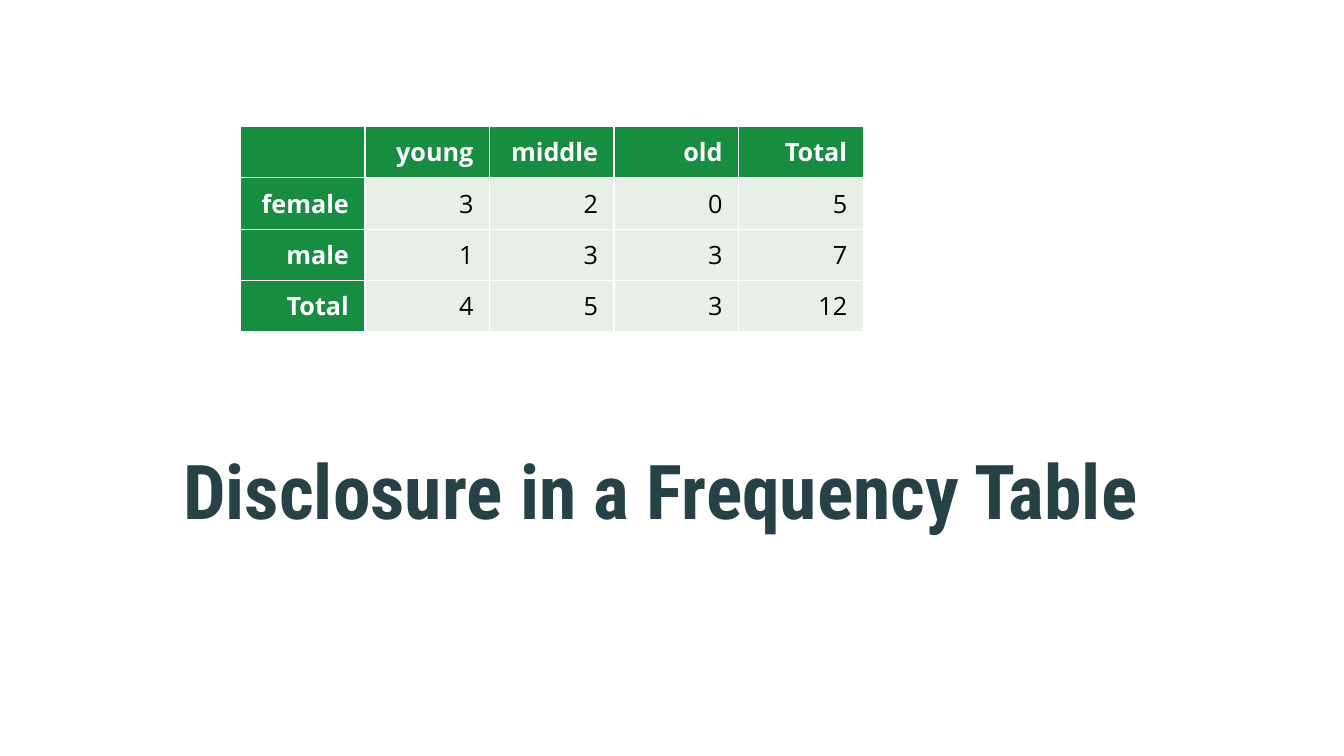
from pptx import Presentation
from pptx.dml.color import RGBColor
from pptx.enum.text import MSO_ANCHOR, PP_ALIGN
from pptx.oxml import parse_xml
from pptx.oxml.ns import nsdecls
from pptx.util import Pt

GREEN, PALE, WHITE, BLACK, SLATE = "178D41", "E8EFE9", "FFFFFF", "000000", "274247"
ROWS = [
    ["", "young", "middle", "old", "Total"],
    ["female", 3, 2, 0, 5],
    ["male", 1, 3, 3, 7],
    ["Total", 4, 5, 3, 12],
]


def tint(code):
    return RGBColor.from_string(code)


def apply(item, props):
    for name, value in props.items():
        setattr(item, name, value)


def inset(side, top, base):
    return {"margin_left": Pt(side), "margin_right": Pt(side),
            "margin_top": Pt(top), "margin_bottom": Pt(base),
            "vertical_anchor": MSO_ANCHOR.MIDDLE}


class Deck:
    """Build a slide with a heading and a frequency table in one style."""

    head = {"name": "Roboto Condensed", "size": Pt(54), "bold": True}
    body = {"name": "Open Sans", "size": Pt(18)}

    def __init__(self, wide, high):
        self.show = Presentation()
        apply(self.show, {"slide_width": Pt(wide), "slide_height": Pt(high)})
        self.slide = self.show.slides.add_slide(self.show.slide_layouts[6])

    def label(self, frame, text, align, font, color):
        para = frame.paragraphs[0]
        para.alignment = align
        run = para.add_run()
        run.text = text
        apply(run.font, font)
        run.font.color.rgb = tint(color)

    def title(self, text, *box):
        frame = self.slide.shapes.add_textbox(*map(Pt, box)).text_frame
        apply(frame, {"word_wrap": True, **inset(7.2, 0, 3.6)})
        self.label(frame, text, PP_ALIGN.CENTER, self.head, SLATE)

    def border(self, cell, color, width):
        for side in "LRTB":
            cell._tc.get_or_add_tcPr().append(parse_xml(
                f'<a:ln{side} {nsdecls("a")} w="{Pt(width)}"><a:solidFill>'
                f'<a:srgbClr val="{color}"/></a:solidFill></a:ln{side}>'))

    def table(self, rows, left, top, wide, high):
        count, span = len(rows), len(rows[0])
        grid = self.slide.shapes.add_table(
            count, span, Pt(left), Pt(top), Pt(wide * span), Pt(high * count)).table
        apply(grid, {"first_col": True, "horz_banding": False})
        for r, row in enumerate(rows):
            for c, value in enumerate(row):
                cell, head = grid.cell(r, c), r == 0 or c == 0
                apply(cell, inset(11.5, 3.6, 3.6))
                self.border(cell, WHITE, 1)
                cell.fill.solid()
                cell.fill.fore_color.rgb = tint(GREEN if head else PALE)
                if value != "":
                    self.label(cell.text_frame, str(value), PP_ALIGN.RIGHT,
                               {**self.body, "bold": head}, WHITE if head else BLACK)


def main():
    deck = Deck(960, 540)
    deck.title("Disclosure in a Frequency Table", 102.2, 311, 739.4, 79.9)
    deck.table(ROWS, 171.7, 90.3, 89, 36.7)
    deck.show.save("out.pptx")


if __name__ == "__main__":
    main()
